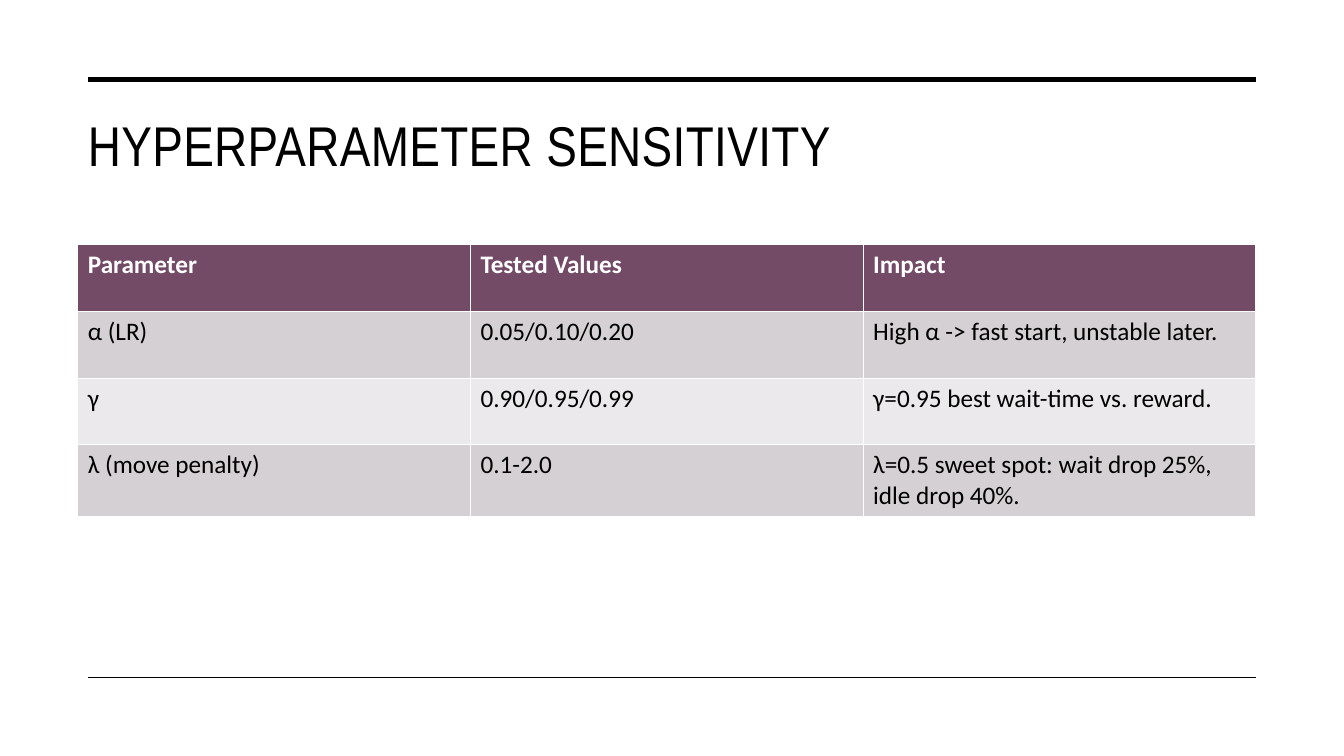
"""Build the hyperparameter sensitivity slide with its table and rules."""
from lxml.etree import SubElement
from pptx import Presentation
from pptx.dml.color import RGBColor
from pptx.enum.shapes import MSO_CONNECTOR
from pptx.enum.text import MSO_ANCHOR, MSO_AUTO_SIZE, PP_ALIGN
from pptx.oxml.ns import qn
from pptx.util import Cm, Pt

BLACK = RGBColor(0x00, 0x00, 0x00)
WHITE = RGBColor(0xFF, 0xFF, 0xFF)
PLUM = RGBColor(0x73, 0x4B, 0x67)
MAUVE = RGBColor(0xD5, 0xD0, 0xD3)
PALE = RGBColor(0xEB, 0xE9, 0xEB)

LEFT, WIDTH = Cm(1.96), Cm(29.69)
RULE_LEFT, RULE_RIGHT = Cm(2.23), Cm(31.65)
ROW_HEIGHT = Cm(1.68)

ROWS = [
    ("Parameter", "Tested Values", "Impact"),
    ("α (LR)", "0.05/0.10/0.20", "High α -> fast start, unstable later."),
    ("γ", "0.90/0.95/0.99", "γ=0.95 best wait-time vs. reward."),
    ("λ (move penalty)", "0.1-2.0", "λ=0.5 sweet spot: wait drop 25%, idle drop 40%."),
]


def set_font(paragraph, name, size, color, bold=False):
    font = paragraph.font
    font.name, font.size, font.bold = name, Pt(size), bold
    font.color.rgb = color


def add_rule(page, top, weight):
    rule = page.shapes.add_connector(
        MSO_CONNECTOR.STRAIGHT, RULE_LEFT, top, RULE_RIGHT, top)
    rule.line.color.rgb = BLACK
    rule.line.width = Pt(weight)
    SubElement(rule._element.spPr, qn("a:effectLst"))


def set_title(page, text):
    title = page.shapes.title
    title.left, title.top, title.width, title.height = LEFT, Cm(2.54), WIDTH, Cm(3.63)
    frame = title.text_frame
    frame.text = text
    frame.word_wrap = True
    frame.auto_size = MSO_AUTO_SIZE.NONE
    frame.vertical_anchor = MSO_ANCHOR.TOP
    frame.margin_top = Cm(0.25)
    paragraph = frame.paragraphs[0]
    paragraph.alignment = PP_ALIGN.LEFT
    set_font(paragraph, "Arial Narrow", 40, BLACK)
    paragraph.runs[0].font._element.set("spc", "30")


def add_parameter_table(page):
    table = page.shapes.add_table(
        len(ROWS), len(ROWS[0]), LEFT, Cm(6.17), WIDTH, ROW_HEIGHT * len(ROWS)).table
    for row_index, texts in enumerate(ROWS):
        is_header = row_index == 0
        fill = PLUM if is_header else MAUVE if row_index % 2 else PALE
        for column_index, text in enumerate(texts):
            cell = table.cell(row_index, column_index)
            cell.text = text
            cell.fill.solid()
            cell.fill.fore_color.rgb = fill
            set_font(cell.text_frame.paragraphs[0], "Calibri", 18,
                     WHITE if is_header else BLACK, is_header)


def main():
    deck = Presentation()
    deck.slide_width, deck.slide_height = Cm(33.87), Cm(19.05)
    page = deck.slides.add_slide(deck.slide_layouts.get_by_name("Title Only"))
    add_rule(page, Cm(2.01), 3.5)
    add_rule(page, Cm(17.07), 1)
    set_title(page, "HYPERPARAMETER SENSITIVITY")
    add_parameter_table(page)
    deck.save("out.pptx")


if __name__ == "__main__":
    main()
